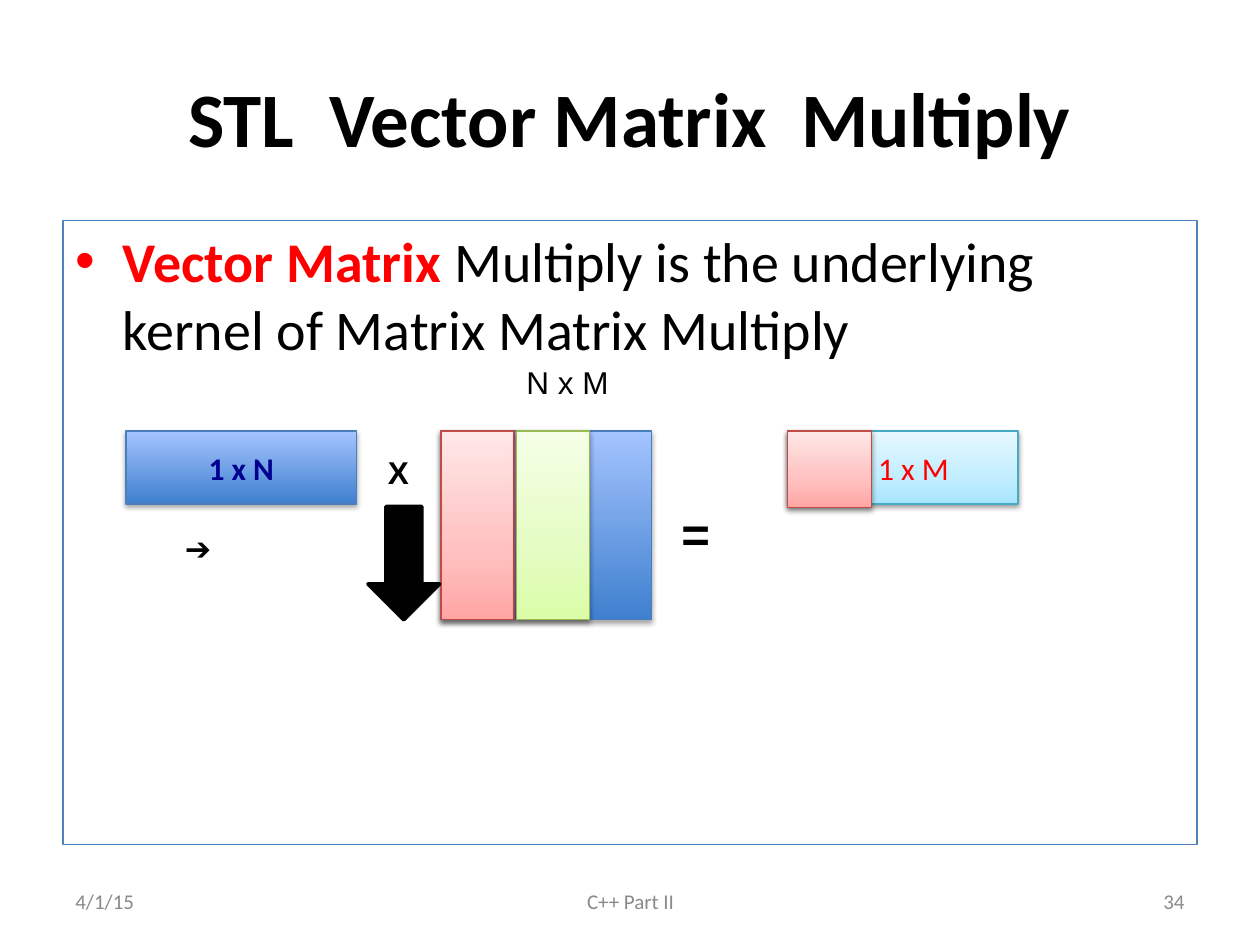
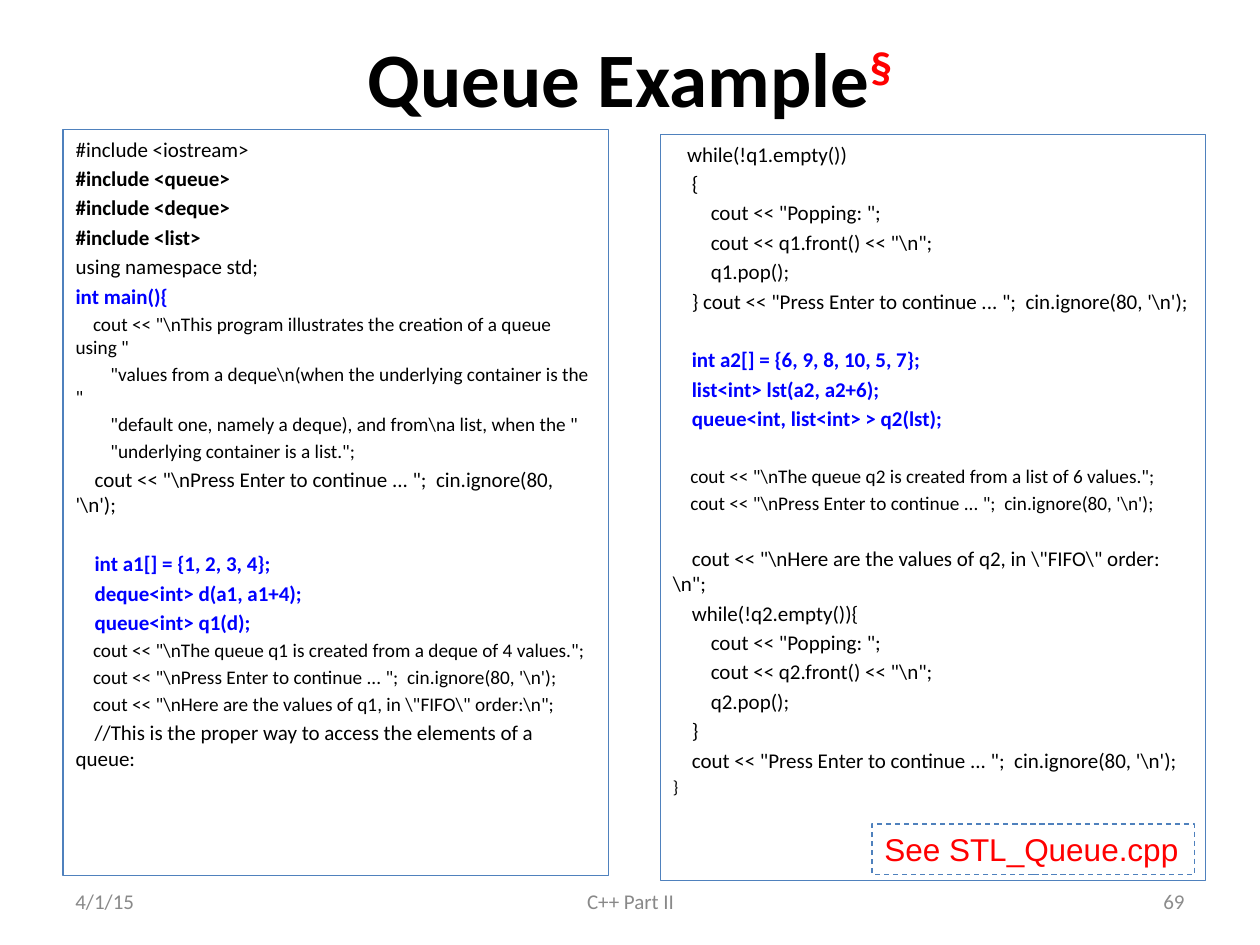
from dataclasses import dataclass

from lxml import etree
from pptx import Presentation
from pptx import util as u
from pptx.dml.color import RGBColor
from pptx.enum import dml, shapes, text
from pptx.oxml.ns import qn


@dataclass(frozen=True)
class Theme:
    body_font: str = "Calibri"
    label_font: str = "Arial"
    black: str = "000000"
    red: str = "FF0000"
    keyword: str = "0000FF"
    navy: str = "000090"
    border: str = "4F81BD"
    footer: str = "898989"
    page_number: str = "8C8C8C"
    title_size: int = 44
    list_size: int = 32
    equals_size: int = 28
    label_size: int = 18
    footer_size: int = 12
    space_width: float = 0.226  # width of a space, in ems


THEME = Theme()

# Box styles: gradient stops from bottom to top, outline, shadow opacity
BOX_STYLES = {
    "blue": ([(0, "3F80CE"), (100, "A4C4FF")], "4B7EBC", 35),
    "pink": ([(0, "FFA6A5"), (35, "FFC0BF"), (100, "FFE7E7")], "BF4C48", 38),
    "green": ([(0, "DAFDA7"), (35, "E4FCC2"), (100, "F5FFE7")], "98B955", 38),
    "cyan": ([(0, "A7E6FF"), (35, "C1EDFF"), (100, "E7F8FF")], "46AAC5", 38),
}

# Code styles: size, colour, bold
CODE_STYLES = {
    "plain": (12, THEME.black, False),
    "bold": (12, THEME.black, True),
    "key": (12, THEME.keyword, True),
    "small": (11, THEME.black, False),
    "tiny": (10, THEME.black, False),
}

# Program listings: an empty line opens a gap before the next line
DEQUE_CODE = [
    ("plain", ["#include <iostream>"]),
    ("bold", ["#include <queue>", "#include <deque>", "#include <list>"]),
    ("plain", ["using namespace std;"]),
    ("key", ["int main(){"]),
    ("small", [
        r'    cout << "\nThis program illustrates the creation of a queue using "',
        r'        "values from a deque\n(when the underlying container is the "',
        r'        "default one, namely a deque), and from\na list, when the "',
        r'        "underlying container is a list.";',
    ]),
    ("plain", [r'''    cout << "\nPress Enter to continue ... ";  cin.ignore(80, '\n');''', ""]),
    ("key", [
        "    int a1[] = {1, 2, 3, 4};",
        "    deque<int> d(a1, a1+4);",
        "    queue<int> q1(d);",
    ]),
    ("small", [
        r'    cout << "\nThe queue q1 is created from a deque of 4 values.";',
        r'''    cout << "\nPress Enter to continue ... ";  cin.ignore(80, '\n');''',
        r'    cout << "\nHere are the values of q1, in \"FIFO\" order:\n";',
    ]),
    ("plain", ["    //This is the proper way to access the elements of a queue:"]),
]
LIST_CODE = [
    ("plain", [
        "   while(!q1.empty())",
        "    {",
        '        cout << "Popping: ";',
        r'        cout << q1.front() << "\n";',
        "        q1.pop();",
        r'''    } cout << "Press Enter to continue ... ";  cin.ignore(80, '\n');''',
        "",
    ]),
    ("key", [
        "    int a2[] = {6, 9, 8, 10, 5, 7};",
        "    list<int> lst(a2, a2+6);",
        "    queue<int, list<int> > q2(lst);",
        "",
    ]),
    ("small", [
        r'    cout << "\nThe queue q2 is created from a list of 6 values.";',
        r'''    cout << "\nPress Enter to continue ... ";  cin.ignore(80, '\n');''',
        "",
    ]),
    ("plain", [
        r'    cout << "\nHere are the values of q2, in \"FIFO\" order:\n";',
        "    while(!q2.empty()){",
        '        cout << "Popping: ";',
        r'        cout << q2.front() << "\n";',
        "        q2.pop();",
        "    }",
        r'''    cout << "Press Enter to continue ... ";  cin.ignore(80, '\n');''',
    ]),
    ("tiny", ["}"]),
]


def style_font(font, size, color, bold=False, name=THEME.body_font):
    font.name, font.size, font.bold = name, u.Pt(size), bold
    font.color.rgb = RGBColor.from_string(color)


def place(shape, left, top, width, height):
    shape.left, shape.top = u.Inches(left), u.Inches(top)
    shape.width, shape.height = u.Inches(width), u.Inches(height)


def outline(shape, color, width=0.75):
    shape.line.color.rgb = RGBColor.from_string(color)
    shape.line.width = u.Pt(width)


def add_title(slide, title, top, height):
    place(slide.shapes.title, 0.5, top, 9, height)
    frame = slide.shapes.title.text_frame
    frame.text = title
    frame.auto_size = text.MSO_AUTO_SIZE.NONE
    frame.vertical_anchor = text.MSO_ANCHOR.MIDDLE
    paragraph = frame.paragraphs[0]
    paragraph.alignment = text.PP_ALIGN.CENTER
    style_font(paragraph.font, THEME.title_size, THEME.black, True)
    return paragraph


def frame_body(slide, index, *box):
    """Place a body placeholder, outline it and return its text frame."""
    body = slide.placeholders[index]
    place(body, *box)
    outline(body, THEME.border)
    body.text_frame.auto_size = text.MSO_AUTO_SIZE.NONE
    return body.text_frame


def add_label(slide, caption, left, top, width, height=0.4, size=THEME.label_size,
              color=THEME.black, bold=False, name=THEME.label_font, wrap=False):
    label = slide.shapes.add_textbox(*map(u.Inches, (left, top, width, height)))
    label.text_frame.text = caption
    label.text_frame.word_wrap = wrap
    style_font(label.text_frame.paragraphs[0].font, size, color, bold, name)
    return label


def add_footers(slide, number):
    align = text.PP_ALIGN
    for caption, left, width, alignment, color in (
        ("4/1/15", 0.5, 2.33, align.LEFT, THEME.footer),
        ("C++ Part II", 3.42, 3.17, align.CENTER, THEME.footer),
        (str(number), 7.17, 2.33, align.RIGHT, THEME.page_number),
    ):
        label = add_label(slide, caption, left, 6.95, width, size=THEME.footer_size,
                          color=color, name=THEME.body_font, wrap=True)
        label.text_frame.vertical_anchor = text.MSO_ANCHOR.MIDDLE
        label.text_frame.paragraphs[0].alignment = alignment


def add_color(parent, color, alpha=100):
    element = etree.SubElement(parent, qn("a:srgbClr"), val=color)
    if alpha < 100:
        etree.SubElement(element, qn("a:alpha"), val=str(alpha * 1000))


def add_box(slide, style, left, width, height):
    """Add a matrix or vector block with a gradient and a soft shadow."""
    stops, line_color, opacity = BOX_STYLES[style]
    box = slide.shapes.add_shape(shapes.MSO_SHAPE.RECTANGLE,
                                 *map(u.Inches, (left, 3.42, width, height)))
    outline(box, line_color)
    box.fill.gradient()
    box.fill.gradient_angle = 90
    properties = box._element.spPr
    stop_list = properties.find(".//" + qn("a:gsLst"))
    for stop in list(stop_list):
        stop_list.remove(stop)
    for position, color in stops:
        add_color(etree.SubElement(stop_list, qn("a:gs"), pos=str(position * 1000)), color)
    box.shadow.inherit = False
    shadow = etree.SubElement(
        properties.find(qn("a:effectLst")), qn("a:outerShdw"),
        blurRad=str(u.Pt(3.1)), dist=str(u.Pt(1.7)), dir="5400000", rotWithShape="0")
    add_color(shadow, THEME.black, opacity)
    return box


def caption_box(box, caption, color, bold=False):
    frame = box.text_frame
    frame.text = caption
    frame.vertical_anchor = text.MSO_ANCHOR.MIDDLE
    frame.paragraphs[0].alignment = text.PP_ALIGN.CENTER
    style_font(frame.paragraphs[0].font, THEME.label_size, color, bold)


def write_code(frame, blocks):
    """Write one paragraph per line; leading spaces become a first-line indent."""
    paragraph, gap = frame.paragraphs[0], 0
    lines = [(style, line) for style, block in blocks for line in block]
    for style, line in lines:
        size, color, bold = CODE_STYLES[style]
        if not line:
            gap = 1.4 * size
            continue
        if paragraph.text:
            paragraph = frame.add_paragraph()
        paragraph.text = line.lstrip()
        paragraph.space_before = u.Pt(0.2 * size + gap)
        style_font(paragraph.font, size, color, bold)
        columns = len(line) - len(paragraph.text)
        properties = paragraph._p.get_or_add_pPr()
        properties.set("marL", "0")
        properties.set("indent", str(u.Pt(columns * THEME.space_width * size)))
        bullet = etree.Element(qn("a:buNone"))
        properties.find(qn("a:spcBef")).addnext(bullet)
        gap = 0


def build_multiply_slide(presentation):
    slide = presentation.slides.add_slide(presentation.slide_layouts[1])
    add_title(slide, "STL  Vector Matrix  Multiply", 0.3, 1.25)
    paragraph = frame_body(slide, 1, 0.5, 1.75, 9, 4.95).paragraphs[0]
    for words, color, bold in (
        ("Vector Matrix ", THEME.red, True),
        ("Multiply is the underlying kernel of Matrix Matrix Multiply", THEME.black, False),
    ):
        run = paragraph.add_run()
        run.text = words
        style_font(run.font, THEME.list_size, color, bold)
    bullet_color = etree.Element(qn("a:buClr"))
    add_color(bullet_color, THEME.red)
    paragraph._p.get_or_add_pPr().append(bullet_color)
    add_footers(slide, 34)

    # Row vector and matrix
    caption_box(add_box(slide, "blue", 1, 1.83, 0.58), "1 x N", THEME.navy, True)
    add_box(slide, "blue", 3.5, 1.67, 1.5)
    add_label(slide, "X", 2.98, 3.55, 0.37, bold=True)
    add_box(slide, "pink", 3.5, 0.58, 1.5)
    add_label(slide, "➔", 1.37, 4.15, 0.83, wrap=True)
    arrow = slide.shapes.add_shape(shapes.MSO_SHAPE.DOWN_ARROW,
                                   *map(u.Inches, (2.92, 4.02, 0.57, 0.9)))
    arrow.shadow.inherit = False
    arrow.fill.solid()
    arrow.fill.fore_color.rgb = RGBColor.from_string(THEME.black)
    outline(arrow, THEME.black, 2)
    add_label(slide, "N x M", 4.08, 2.83, 0.86)
    add_label(slide, "=", 5.31, 3.95, 0.43, 0.57, THEME.equals_size, bold=True)

    # Result vector, its first element and the second matrix column
    result = add_box(slide, "cyan", 6.25, 1.83, 0.58)
    caption_box(result, "1 x M", THEME.red)
    result.text_frame.margin_left = u.Inches(0.27)
    add_box(slide, "green", 4.1, 0.58, 1.5)
    add_box(slide, "pink", 6.25, 0.67, 0.61)


def build_queue_slide(presentation):
    slide = presentation.slides.add_slide(presentation.slide_layouts[3])
    mark = add_title(slide, "Queue Example", 0.17, 0.87).add_run()
    mark.text = "§"
    mark.font.color.rgb = RGBColor.from_string(THEME.red)
    mark._r.get_or_add_rPr().set("baseline", "30000")
    write_code(frame_body(slide, 1, 0.5, 1.03, 4.33, 5.92), DEQUE_CODE)
    add_footers(slide, 69)
    write_code(frame_body(slide, 2, 5.24, 1.07, 4.33, 5.92), LIST_CODE)

    # Source file note
    note = add_label(slide, "See STL_Queue.cpp", 6.92, 6.54, 2.56, color=THEME.red)
    outline(note, THEME.border)
    note.line.dash_style = dml.MSO_LINE.DASH


def main():
    presentation = Presentation()
    presentation.slide_width, presentation.slide_height = u.Inches(10), u.Inches(7.5)
    build_multiply_slide(presentation)
    build_queue_slide(presentation)
    presentation.save("out.pptx")


if __name__ == "__main__":
    main()
